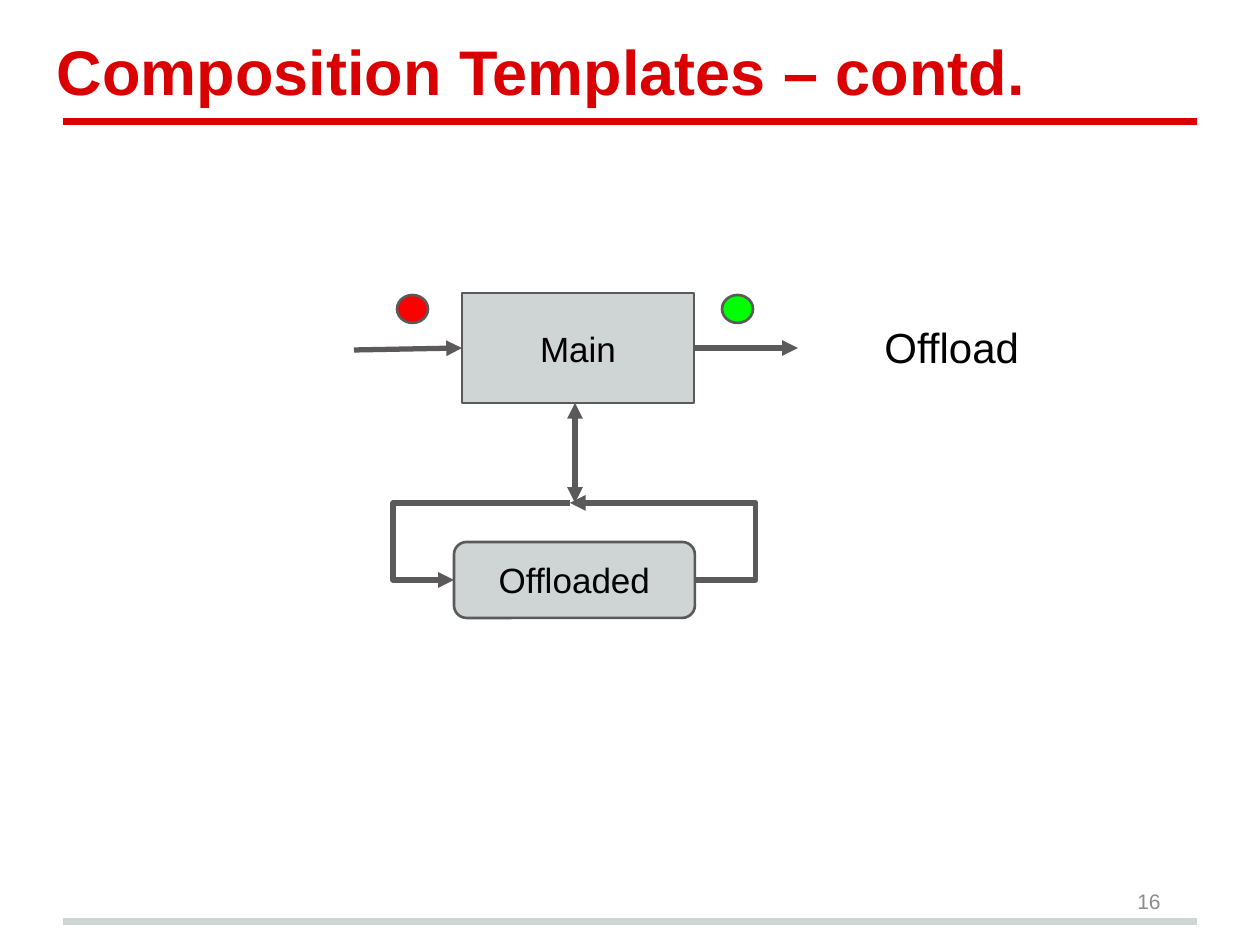
from dataclasses import dataclass

from lxml.etree import SubElement
from pptx import Presentation
from pptx.dml.color import RGBColor
from pptx.enum.shapes import MSO_CONNECTOR, MSO_SHAPE
from pptx.enum.text import MSO_ANCHOR, PP_ALIGN
from pptx.oxml.ns import qn
from pptx.util import Pt

EMU_PER_PX = 914400 / 126


@dataclass(frozen=True)
class Theme:
    font: str = "Arial"
    red: str = "DA0002"
    silver: str = "CFD4D4"
    outline: str = "5B595A"
    black: str = "000000"
    muted: str = "8C8C8C"
    token_in: str = "FF0000"
    token_out: str = "00FF00"
    title_size: int = 36
    caption_size: int = 24
    node_size: int = 20
    number_size: int = 12
    outline_width: float = 1.5
    arrow_width: int = 3
    rule_width: int = 4


THEME = Theme()


def px(length):
    return round(length * EMU_PER_PX)


def color(value):
    return RGBColor.from_string(value)


def write_text(shape, text, *, size, ink=THEME.black, bold=False,
               align=PP_ALIGN.LEFT, anchor=MSO_ANCHOR.TOP, inset=None, indent=0):
    frame = shape.text_frame
    frame.word_wrap = True
    frame.vertical_anchor = anchor
    if inset is not None:
        frame.margin_left = frame.margin_right = px(inset)
        frame.margin_top = frame.margin_bottom = px(inset)
    paragraph = frame.paragraphs[0]
    paragraph.alignment = align
    if indent:
        paragraph._p.get_or_add_pPr().set("indent", str(px(indent)))
    run = paragraph.add_run()
    run.text = text
    run.font.name = THEME.font
    run.font.size = Pt(size)
    run.font.bold = bold
    run.font.color.rgb = color(ink)


def add_text(slide, box, text, **text_format):
    shape = slide.shapes.add_textbox(*map(px, box))
    write_text(shape, text, **text_format)


def add_outlined_shape(slide, kind, box, fill):
    shape = slide.shapes.add_shape(kind, *map(px, box))
    shape.shadow.inherit = False
    shape.fill.solid()
    shape.fill.fore_color.rgb = color(fill)
    shape.line.color.rgb = color(THEME.outline)
    shape.line.width = Pt(THEME.outline_width)
    return shape


def add_node(slide, kind, box, label):
    shape = add_outlined_shape(slide, kind, box, THEME.silver)
    write_text(shape, label, size=THEME.node_size, align=PP_ALIGN.CENTER,
               anchor=MSO_ANCHOR.MIDDLE, inset=12)
    return shape


def add_line(slide, start, end, ink, width, kind=MSO_CONNECTOR.STRAIGHT):
    connector = slide.shapes.add_connector(kind, *map(px, (*start, *end)))
    connector.line.color.rgb = color(ink)
    connector.line.width = Pt(width)
    SubElement(connector._element.spPr, qn("a:effectLst"))
    return connector


def add_arrow(slide, start, end, *, both_ends=False, bend_x=None):
    """Draw an arrow; bend_x places the upright part of an elbow."""
    kind = MSO_CONNECTOR.STRAIGHT if bend_x is None else MSO_CONNECTOR.ELBOW
    connector = add_line(slide, start, end, THEME.outline, THEME.arrow_width, kind)
    line = connector.line._get_or_add_ln()
    for tag in ("a:headEnd", "a:tailEnd") if both_ends else ("a:tailEnd",):
        SubElement(line, qn(tag), type="triangle")
    if bend_x is not None:
        ratio = (bend_x - start[0]) / (end[0] - start[0])
        geometry = connector._element.spPr.find(qn("a:prstGeom"))
        values = geometry.find(qn("a:avLst"))
        if values is None:
            values = SubElement(geometry, qn("a:avLst"))
        SubElement(values, qn("a:gd"), name="adj1", fmla=f"val {round(ratio * 100000)}")
    return connector


def add_frame(slide):
    for y, ink in ((922, THEME.silver), (122, THEME.red)):
        add_line(slide, (63, y), (1197, y), ink, THEME.rule_width)
    add_text(slide, (13, 18, 1239, 102), "Composition Templates – contd.",
             size=THEME.title_size, ink=THEME.red, bold=True,
             anchor=MSO_ANCHOR.BOTTOM, inset=12, indent=32)
    add_text(slide, (890, 876, 283, 50), "16", size=THEME.number_size,
             ink=THEME.muted, align=PP_ALIGN.RIGHT, anchor=MSO_ANCHOR.MIDDLE)


def add_offload_diagram(slide):
    main_node = add_node(slide, MSO_SHAPE.RECTANGLE, (462, 293, 232, 110), "Main")
    add_arrow(slide, (354, 350), (462, 348)).end_connect(main_node, 1)
    add_arrow(slide, (694, 348), (798, 348)).begin_connect(main_node, 3)
    for x, fill in ((397, THEME.token_in), (722, THEME.token_out)):
        add_outlined_shape(slide, MSO_SHAPE.OVAL, (x, 295, 31, 28), fill)

    add_node(slide, MSO_SHAPE.ROUNDED_RECTANGLE, (454, 542, 241, 76), "Offloaded")
    add_arrow(slide, (575, 403), (575, 503), both_ends=True)
    junction = (570, 503)
    add_arrow(slide, junction, (454, 580), bend_x=393)
    add_arrow(slide, (695, 580), junction, bend_x=756)
    add_text(slide, (872, 315, 283, 63), "Offload", size=THEME.caption_size)


def main():
    presentation = Presentation()
    presentation.slide_width = px(1260)
    presentation.slide_height = px(945)
    slide = presentation.slides.add_slide(presentation.slide_layouts[6])
    add_frame(slide)
    add_offload_diagram(slide)
    presentation.save("out.pptx")


if __name__ == "__main__":
    main()
